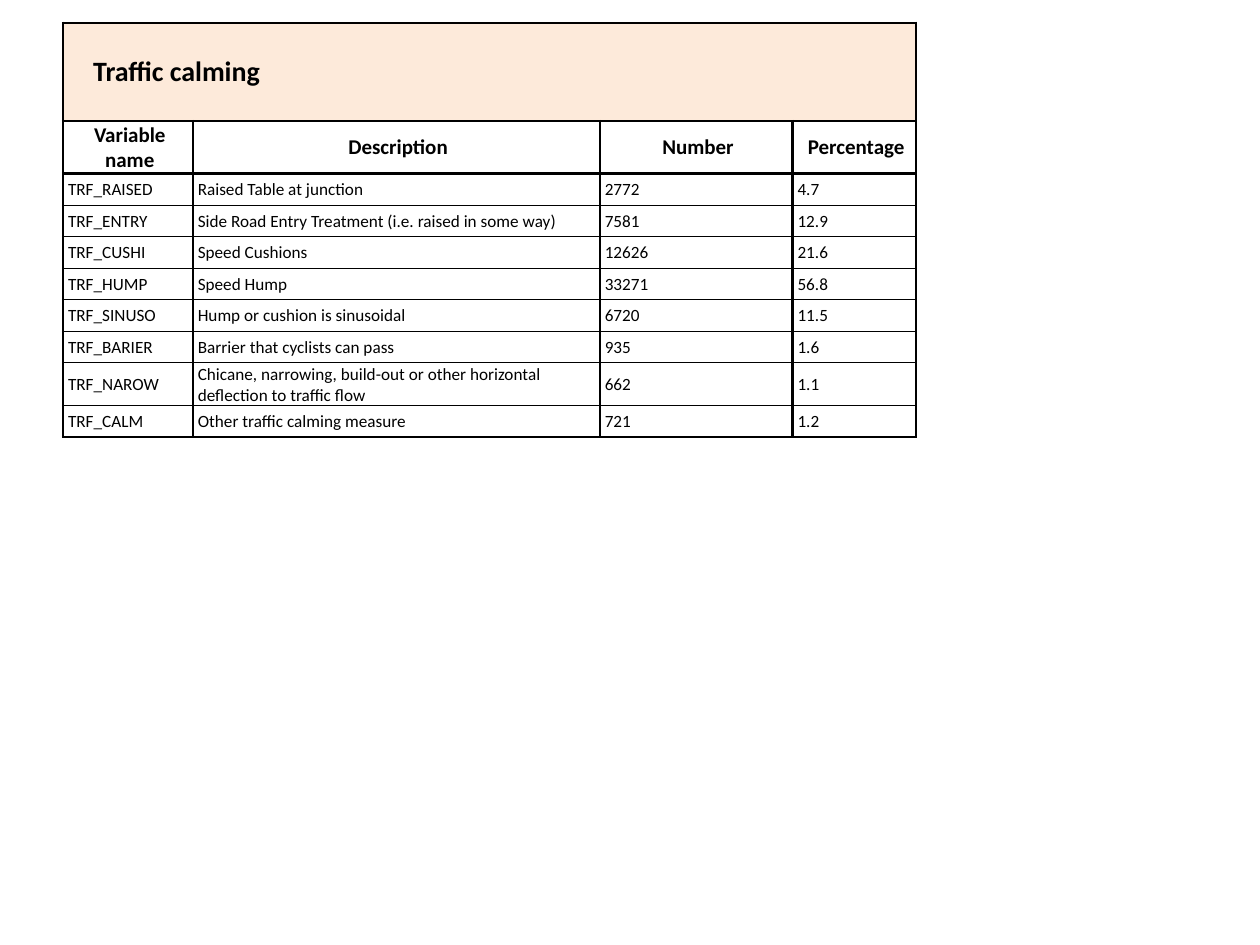
from lxml import etree
from pptx import Presentation
from pptx.dml.color import RGBColor
from pptx.enum import text
from pptx.oxml.ns import qn
from pptx.util import Inches, Pt

HUES = {"ink": "000000", "peach": "FDEADA", "white": "FFFFFF"}
THICK, THIN = 1.5, 0.5
WIDTHS = [1.03, 3.23, 1.53, 0.98]
TITLE = "Traffic calming"
HEADS = ["Variable name", "Description", "Number", "Percentage"]
ROWS = [
    ("TRF_RAISED", "Raised Table at junction", "2772", "4.7"),
    ("TRF_ENTRY", "Side Road Entry Treatment (i.e. raised in some way)", "7581", "12.9"),
    ("TRF_CUSHI", "Speed Cushions", "12626", "21.6"),
    ("TRF_HUMP", "Speed Hump", "33271", "56.8"),
    ("TRF_SINUSO", "Hump or cushion is sinusoidal", "6720", "11.5"),
    ("TRF_BARIER", "Barrier that cyclists can pass", "935", "1.6"),
    ("TRF_NAROW", "Chicane, narrowing, build-out or other horizontal "
                  "deflection to traffic flow", "662", "1.1"),
    ("TRF_CALM", "Other traffic calming measure", "721", "1.2"),
]


class Deck:
    def __init__(self, slide, font="Calibri"):
        self.slide = slide
        self.font = font

    def grid(self, left, top, widths, heights):
        frame = self.slide.shapes.add_table(
            len(heights), len(widths), Inches(left), Inches(top),
            Inches(sum(widths)), Inches(sum(heights)))
        table = frame.table
        table.first_row = table.horz_banding = False
        for col, width in zip(table.columns, widths):
            col.width = Inches(width)
        for row, height in zip(table.rows, heights):
            row.height = Inches(height)
        return table

    def edge(self, cell, sides):
        """Draw borders; sides gives left, right, top, bottom points, 0 for none."""
        props = cell._tc.get_or_add_tcPr()
        for side, width in zip("LRTB", sides):
            line = etree.SubElement(props, qn(f"a:ln{side}"), w=str(Pt(width)))
            if width:
                fill = etree.SubElement(line, qn("a:solidFill"))
                etree.SubElement(fill, qn("a:srgbClr"), val=HUES["ink"])
            else:
                etree.SubElement(line, qn("a:noFill"))

    def cell(self, cell, sides, fill=None, left=0.04, right=0.01):
        cell.margin_left, cell.margin_right = Inches(left), Inches(right)
        cell.margin_top, cell.margin_bottom = Inches(0.01), 0
        cell.vertical_anchor = text.MSO_ANCHOR.MIDDLE
        self.edge(cell, sides)
        if fill:
            cell.fill.solid()
            cell.fill.fore_color.rgb = RGBColor.from_string(HUES[fill])
        else:
            cell.fill.background()

    def label(self, cell, words, size, bold=False, align=text.PP_ALIGN.LEFT):
        para = cell.text_frame.paragraphs[0]
        para.alignment = align
        run = para.add_run()
        run.text = words
        run.font.name = self.font
        run.font.size = Pt(size)
        run.font.bold = bold
        run.font.color.rgb = RGBColor.from_string(HUES["ink"])


def main():
    prs = Presentation()
    prs.slide_width, prs.slide_height = Inches(10), Inches(7.5)
    deck = Deck(prs.slides.add_slide(prs.slide_layouts[6]))
    heights = [0.78] + [0.25] * (len(ROWS) + 1)
    table = deck.grid(0.5, 0.18, WIDTHS, heights)

    last = len(WIDTHS) - 1
    for col in range(len(WIDTHS)):
        sides = (THICK if col == 0 else 0, THICK if col == last else 0, THICK, THICK)
        deck.cell(table.cell(0, col), sides, "peach", left=0.24)
    table.cell(0, 0).merge(table.cell(0, 1))
    deck.label(table.cell(0, 0), TITLE, 16, bold=True)

    for col, head in enumerate(HEADS):
        fill = None if head == "Description" else "white"
        cell = table.cell(1, col)
        deck.cell(cell, (THICK,) * 4, fill)
        deck.label(cell, head, 12, bold=True, align=text.PP_ALIGN.CENTER)
        for num, row in enumerate(ROWS):
            above = THICK if num == 0 else THIN
            below = THICK if num == len(ROWS) - 1 else THIN
            cell = table.cell(num + 2, col)
            deck.cell(cell, (THICK, THICK, above, below), fill,
                      right=0.01 if col < 2 else 0.04)
            deck.label(cell, row[col], 9.8)

    prs.save("out.pptx")


if __name__ == "__main__":
    main()
